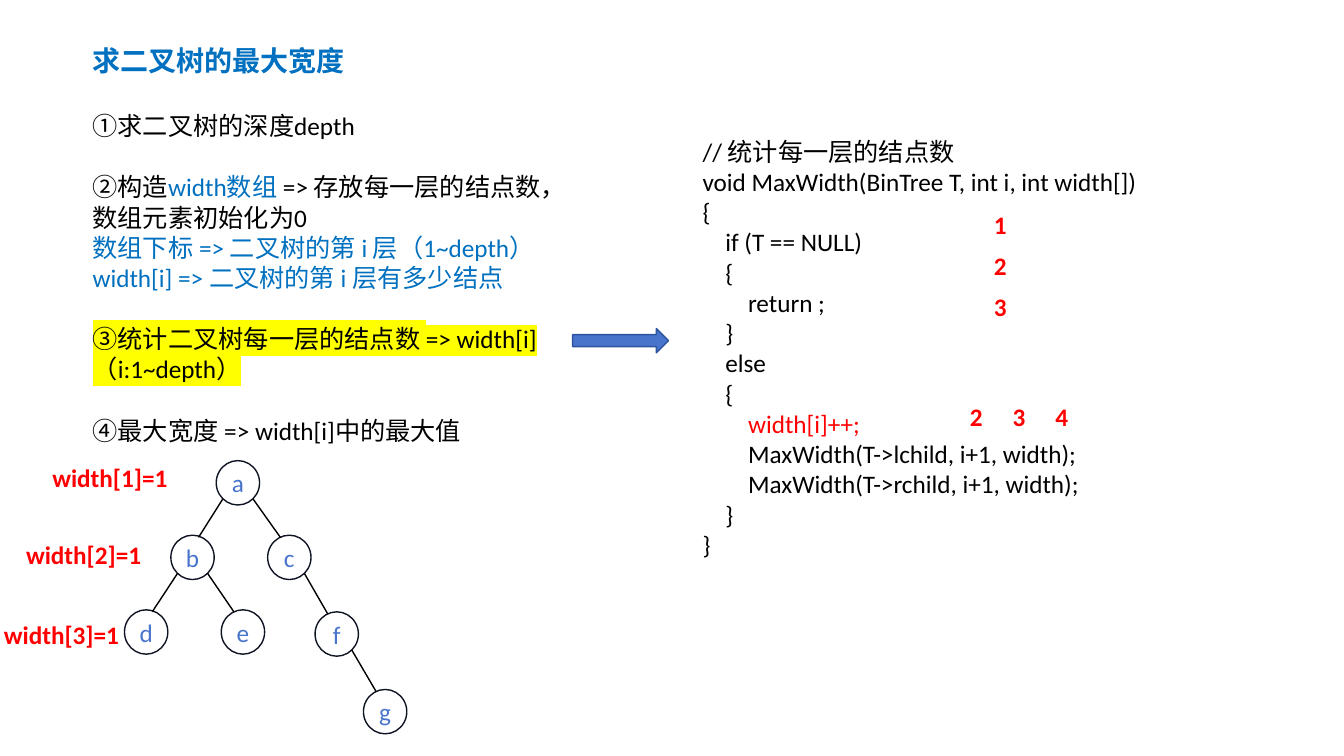
from lxml.etree import SubElement
from pptx import Presentation
from pptx.dml.color import RGBColor
from pptx.enum.shapes import MSO_CONNECTOR, MSO_SHAPE
from pptx.enum.text import MSO_ANCHOR, PP_ALIGN
from pptx.oxml.ns import qn
from pptx.util import Inches, Pt

THEME = {
    "font": "Calibri",
    "title_size": Pt(20),
    "body_size": Pt(18),
    "gap": Pt(22),
    "line_width": Pt(1),
    "black": RGBColor(0x00, 0x00, 0x00),
    "blue": RGBColor(0x00, 0x70, 0xC0),
    "red": RGBColor(0xFF, 0x00, 0x00),
    "node_text": RGBColor(0x48, 0x74, 0xCB),
    "node_line": RGBColor(0x0F, 0x14, 0x23),
    "arrow_fill": RGBColor(0x48, 0x74, 0xCB),
    "arrow_line": RGBColor(0x2E, 0x54, 0xA1),
    "highlight": "FFFF00",
}


def add_span(para, text, color, size="body_size", bold=False):
    span = para.add_run()
    span.text = text
    formats = {"name": THEME["font"], "size": THEME[size], "bold": bold}
    for name, value in formats.items():
        setattr(span.font, name, value)
    span.font.color.rgb = THEME[color]
    return span


def add_text(left, top, width, height, paragraphs, **style):
    """Add a wrapped text box; each paragraph is a list of (text, color) spans."""
    box = page.shapes.add_textbox(Inches(left), Inches(top), Inches(width), Inches(height))
    frame = box.text_frame
    frame.word_wrap = True
    for index, spans in enumerate(paragraphs):
        para = frame.add_paragraph() if index else frame.paragraphs[0]
        for text, color in spans:
            add_span(para, text, color, **style)
    return frame.paragraphs


deck = Presentation()
deck.slide_width, deck.slide_height = Inches(13.33), Inches(7.5)
page = deck.slides.add_slide(deck.slide_layouts[6])

# Title and steps
add_text(0.82, 0.38, 2.96, 0.41, [[("求二叉树的最大宽度", "blue")]], size="title_size", bold=True)
steps = add_text(0.82, 1.05, 4.77, 3.43, [
    [("①求二叉树的深度depth", "black")],
    [("②构造", "black"), ("width数组", "blue"),
     (" => 存放每一层的结点数，数组元素初始化为0", "black")],
    [("数组下标 => 二叉树的第 i 层（1~depth）", "blue")],
    [("width[i] => 二叉树的第 i 层有多少结点", "blue")],
    [("③统计二叉树每一层的结点数 => width[i]（i:1~depth）", "black")],
    [("④最大宽度 => width[i]中的最大值", "black")],
])
for step in (steps[1], steps[4], steps[5]):
    step.space_before = THEME["gap"]
counting_properties = steps[4].runs[0].font._element
highlight = SubElement(counting_properties, qn("a:highlight"))
SubElement(highlight, qn("a:srgbClr"), val=THEME["highlight"])
counting_properties.find(qn("a:solidFill")).addnext(highlight)

# Binary tree: circle centres, then edges with the side each child hangs on
nodes = {
    "a": (2.36, 4.79), "b": (1.91, 5.53), "c": (2.87, 5.53), "d": (1.45, 6.27),
    "e": (2.41, 6.27), "f": (3.34, 6.29), "g": (3.82, 7.06),
}
node_width, node_height = 0.43, 0.44
for label, (x, y) in nodes.items():
    circle = page.shapes.add_shape(
        MSO_SHAPE.OVAL, Inches(x - node_width / 2), Inches(y - node_height / 2),
        Inches(node_width), Inches(node_height))
    circle.shadow.inherit = False
    circle.fill.background()
    circle.line.color.rgb = THEME["node_line"]
    circle.line.width = THEME["line_width"]
    frame = circle.text_frame
    for side in ("left", "top", "right", "bottom"):
        setattr(frame, f"margin_{side}", 0)
    frame.vertical_anchor = MSO_ANCHOR.MIDDLE
    frame.paragraphs[0].alignment = PP_ALIGN.CENTER
    add_span(frame.paragraphs[0], label, "node_text")

for parent, child in ("ab", "ac", "bd", "be", "cf", "fg"):
    parent_x, parent_y = nodes[parent]
    child_x, child_y = nodes[child]
    goes_left = child_x < parent_x
    edge = page.shapes.add_connector(
        MSO_CONNECTOR.STRAIGHT,
        Inches(parent_x + (-0.15 if goes_left else 0.15)), Inches(parent_y + 0.16),
        Inches(child_x + (0.06 if goes_left else -0.09)), Inches(child_y - 0.2))
    edge.line.color.rgb = THEME["black"]
    edge.line.width = THEME["line_width"]
    SubElement(edge._element.spPr, qn("a:effectLst"))

# Code
code = """// 统计每一层的结点数
void MaxWidth(BinTree T, int i, int width[])
{
    if (T == NULL)
    {
        return ;
    }
    else
    {
        width[i]++;
        MaxWidth(T->lchild, i+1, width);
        MaxWidth(T->rchild, i+1, width);
    }
}"""
add_text(6.87, 1.3, 5.24, 4.34, [
    [(line, "red" if "++" in line else "black")] for line in code.splitlines()])

arrow = page.shapes.add_shape(
    MSO_SHAPE.RIGHT_ARROW, Inches(5.68), Inches(3.26), Inches(0.95), Inches(0.24))
arrow.shadow.inherit = False
arrow.fill.solid()
arrow.fill.fore_color.rgb = THEME["arrow_fill"]
arrow.line.color.rgb = THEME["arrow_line"]
arrow.line.width = THEME["line_width"]

# Red annotations: level widths, call order and step numbers
level_width, number_width = 1.41, 0.37
annotations = [
    ("width[1]=1", 0.42, 4.54, level_width),
    ("width[2]=1", 0.16, 5.3, level_width),
    ("width[3]=1", -0.06, 6.09, level_width),
]
for index in range(3):
    annotations.append((str(index + 1), 9.76, 2.03 + 0.405 * index, number_width))
    annotations.append((str(index + 2), 9.52 + 0.425 * index, 3.93, number_width))
for text, left, top, width in annotations:
    add_text(left, top, width, 0.4, [[(text, "red")]], bold=True)

deck.save("out.pptx")
